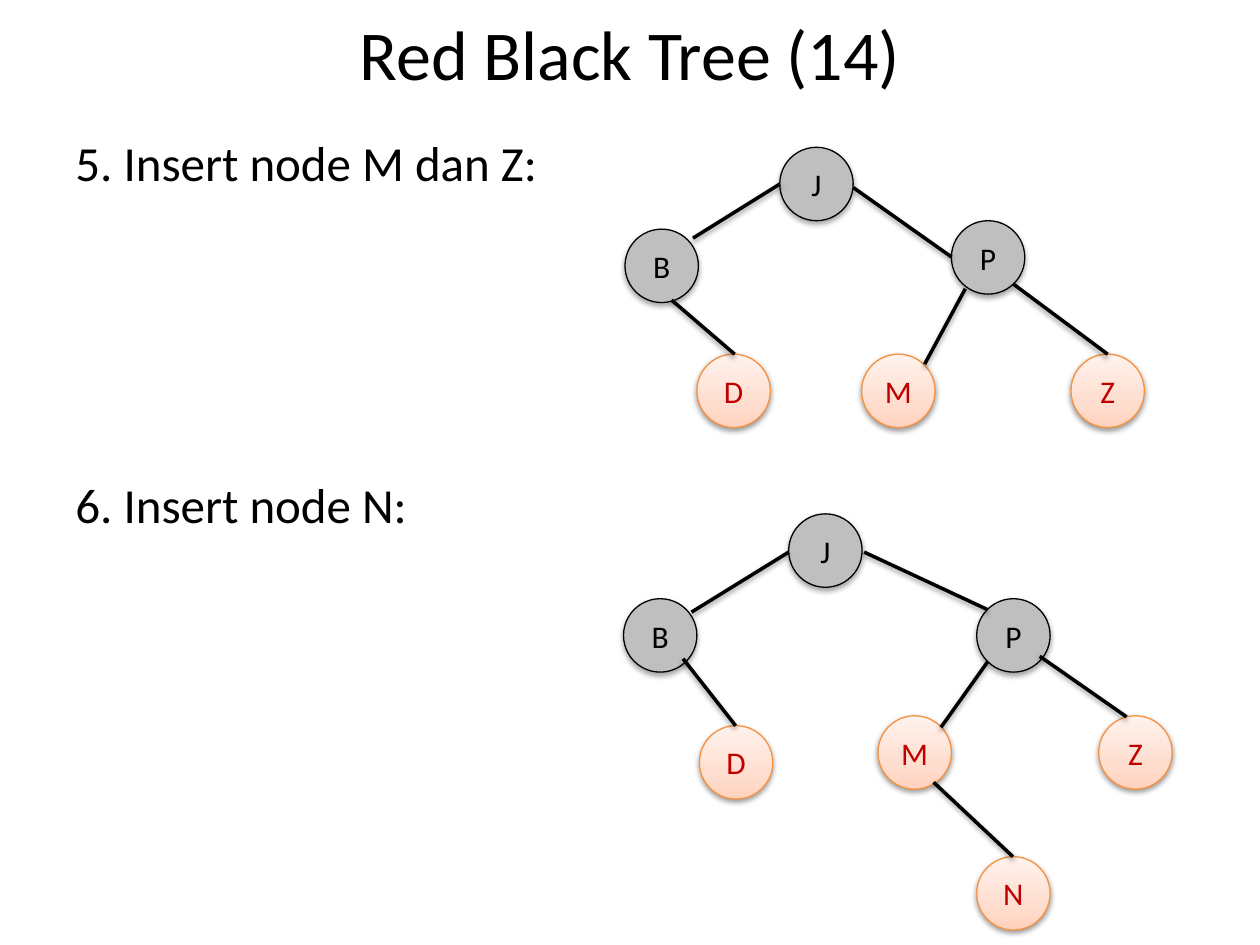
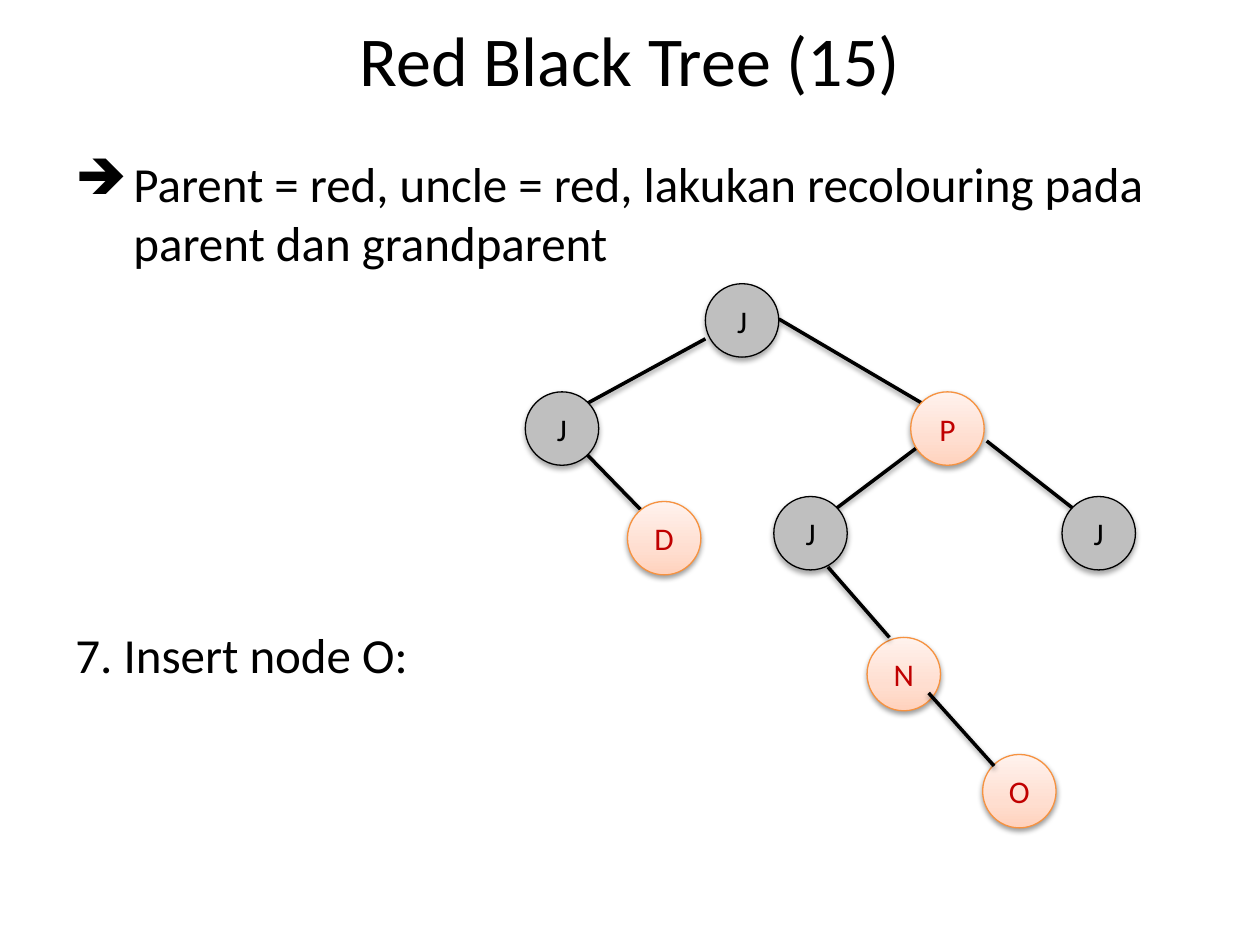
from copy import deepcopy

from lxml import etree
from pptx import Presentation
from pptx import util as u
from pptx.dml.color import RGBColor
from pptx.enum import shapes, text
from pptx.oxml.ns import qn

NODE_SIZE = 1.48
BODY_LEFT, BODY_WIDTH = 1.27, 22.86

# Trees: nodes as (key, left, top), edges as (parent end, child end), all in cm
INSERT_M_Z = {
    "black": [("J", 15.72, 2.97), ("B", 12.6, 4.62), ("P", 19.18, 4.45)],
    "red": [("D", 14.05, 7.14), ("M", 17.37, 7.14), ("Z", 21.59, 7.14)],
    "edges": [
        (17.2, 3.78, 19.18, 5.18),
        (20.42, 5.72, 22.33, 7.14),
        (15.72, 3.71, 13.97, 4.8),
        (13.54, 6.05, 14.81, 7.14),
        (19.46, 5.82, 18.64, 7.34),
    ],
}
INSERT_N = {
    "black": [("J", 15.9, 10.36), ("B", 12.57, 12.07), ("P", 19.69, 12.07)],
    "red": [("N", 19.69, 17.27), ("M", 17.7, 14.43),
            ("D", 14.1, 14.63), ("Z", 22.15, 14.43)],
    "edges": [
        (17.42, 11.13, 19.91, 12.29),
        (20.96, 13.23, 22.71, 14.45),
        (18.82, 15.77, 20.42, 17.27),
        (15.9, 11.13, 13.94, 12.34),
        (13.77, 13.28, 14.83, 14.63),
        (19.91, 13.34, 18.97, 14.66),
    ],
}
INSERT_O = {
    "edges_behind": [
        (15.7, 6.43, 18.59, 8.13),
        (18.49, 9.02, 16.87, 10.24),
        (14.22, 6.83, 11.84, 8.13),
        (19.89, 8.89, 21.62, 10.24),
        (11.84, 9.17, 12.93, 10.29),
    ],
    "black": [("J", 14.22, 5.72), ("J", 10.59, 7.9),
              ("J", 15.6, 10.01), ("J", 21.41, 10.01)],
    "red": [("P", 18.36, 7.9), ("N", 17.48, 12.85),
            ("O", 19.81, 15.21), ("D", 12.65, 10.11)],
    "edges": [(16.69, 11.43, 17.93, 12.85), (18.72, 13.97, 20.04, 15.44)],
}


def rgb(hex_color):
    return RGBColor.from_string(hex_color)


def write(frame, words, size=28, color="000000", align=text.PP_ALIGN.LEFT,
          anchor=text.MSO_ANCHOR.TOP, bullet=None, indent=0):
    frame.word_wrap = True
    frame.vertical_anchor = anchor
    paragraph = frame.paragraphs[0]
    paragraph.alignment = align
    if bullet:
        props = paragraph._p.get_or_add_pPr()
        props.set("marL", str(u.Cm(indent)))
        props.set("indent", str(-u.Cm(indent)))
        etree.SubElement(props, qn("a:buChar"), char=bullet)
    run = paragraph.add_run()
    run.text = words
    run.font.name = "Calibri"
    run.font.size = u.Pt(size)
    run.font.color.rgb = rgb(color)


def drop_shadow(effects, distance, opacity):
    """Fill an empty effect list with a soft shadow falling straight down."""
    shadow = etree.SubElement(
        effects, qn("a:outerShdw"), blurRad=str(u.Pt(3.1)),
        dist=str(u.Pt(distance)), dir="5400000", rotWithShape="0")
    black = etree.SubElement(shadow, qn("a:srgbClr"), val="000000")
    etree.SubElement(black, qn("a:alpha"), val=str(opacity * 1000))


class TreeDeck:
    black_fill, black_line = "BFBFBF", "000000"
    red_stops = [(0, "FFD2BD"), (0.35, "FFDED0"), (1, "FFF2ED")]
    red_line, red_text = "F69240", "C00000"

    def __init__(self):
        self.deck = Presentation()
        self.deck.slide_width, self.deck.slide_height = u.Cm(25.4), u.Cm(19.05)
        self.slide = None

    def new_slide(self, title, top, height):
        self.slide = self.deck.slides.add_slide(self.deck.slide_layouts[6])
        self.textbox(title, top, height, size=40, align=text.PP_ALIGN.CENTER,
                     anchor=text.MSO_ANCHOR.MIDDLE)

    def textbox(self, words, top, height, **style):
        box = self.slide.shapes.add_textbox(
            u.Cm(BODY_LEFT), u.Cm(top), u.Cm(BODY_WIDTH), u.Cm(height))
        write(box.text_frame, words, **style)

    def node(self, key, left, top, red):
        circle = self.slide.shapes.add_shape(
            shapes.MSO_SHAPE.OVAL, u.Cm(left), u.Cm(top),
            u.Cm(NODE_SIZE), u.Cm(NODE_SIZE))
        if red:
            self.red_gradient(circle)
        else:
            circle.fill.solid()
            circle.fill.fore_color.rgb = rgb(self.black_fill)
        circle.line.color.rgb = rgb(self.red_line if red else self.black_line)
        circle.line.width = u.Pt(0.75)
        circle.shadow.inherit = False
        effects = circle._element.spPr.find(qn("a:effectLst"))
        drop_shadow(effects, *((1.6, 38) if red else (1.8, 35)))
        frame = circle.text_frame
        frame.margin_left = frame.margin_right = 0
        write(frame, key, size=18, color=self.red_text if red else "000000",
              align=text.PP_ALIGN.CENTER, anchor=text.MSO_ANCHOR.MIDDLE)

    def red_gradient(self, circle):
        circle.fill.gradient()
        circle.fill.gradient_angle = 90
        stop_list = circle._element.spPr.find(qn("a:gradFill")).find(qn("a:gsLst"))
        stop_list.append(deepcopy(stop_list[0]))
        for stop, (position, color) in zip(circle.fill.gradient_stops, self.red_stops):
            stop.position = position
            stop.color.rgb = rgb(color)

    def edge(self, *ends):
        branch = self.slide.shapes.add_connector(
            shapes.MSO_CONNECTOR.STRAIGHT, *map(u.Cm, ends))
        branch.line.color.rgb = rgb("000000")
        branch.line.width = u.Pt(2)
        effects = etree.SubElement(branch._element.spPr, qn("a:effectLst"))
        drop_shadow(effects, 1.6, 38)

    def tree(self, parts):
        for ends in parts.get("edges_behind", []):
            self.edge(*ends)
        for kind in ("black", "red"):
            for key, left, top in parts[kind]:
                self.node(key, left, top, red=kind == "red")
        for ends in parts["edges"]:
            self.edge(*ends)


def main():
    show = TreeDeck()

    # Steps 5 and 6
    show.new_slide("Red Black Tree (14)", 0.43, 1.27)
    show.textbox("5. Insert node M dan Z:", 2.54, 1.5)
    show.textbox("6. Insert node N:", 9.45, 1.5)
    show.tree(INSERT_M_Z)
    show.tree(INSERT_N)

    # Recolouring and step 7
    show.new_slide("Red Black Tree (15)", 0, 2.34)
    show.textbox("Parent = red, uncle = red, lakukan recolouring pada parent dan "
                 "grandparent", 2.97, 2.7, bullet="➔", indent=1.17)
    show.textbox("7. Insert node O:", 12.46, 1.5)
    show.tree(INSERT_O)

    show.deck.save("out.pptx")


if __name__ == "__main__":
    main()
